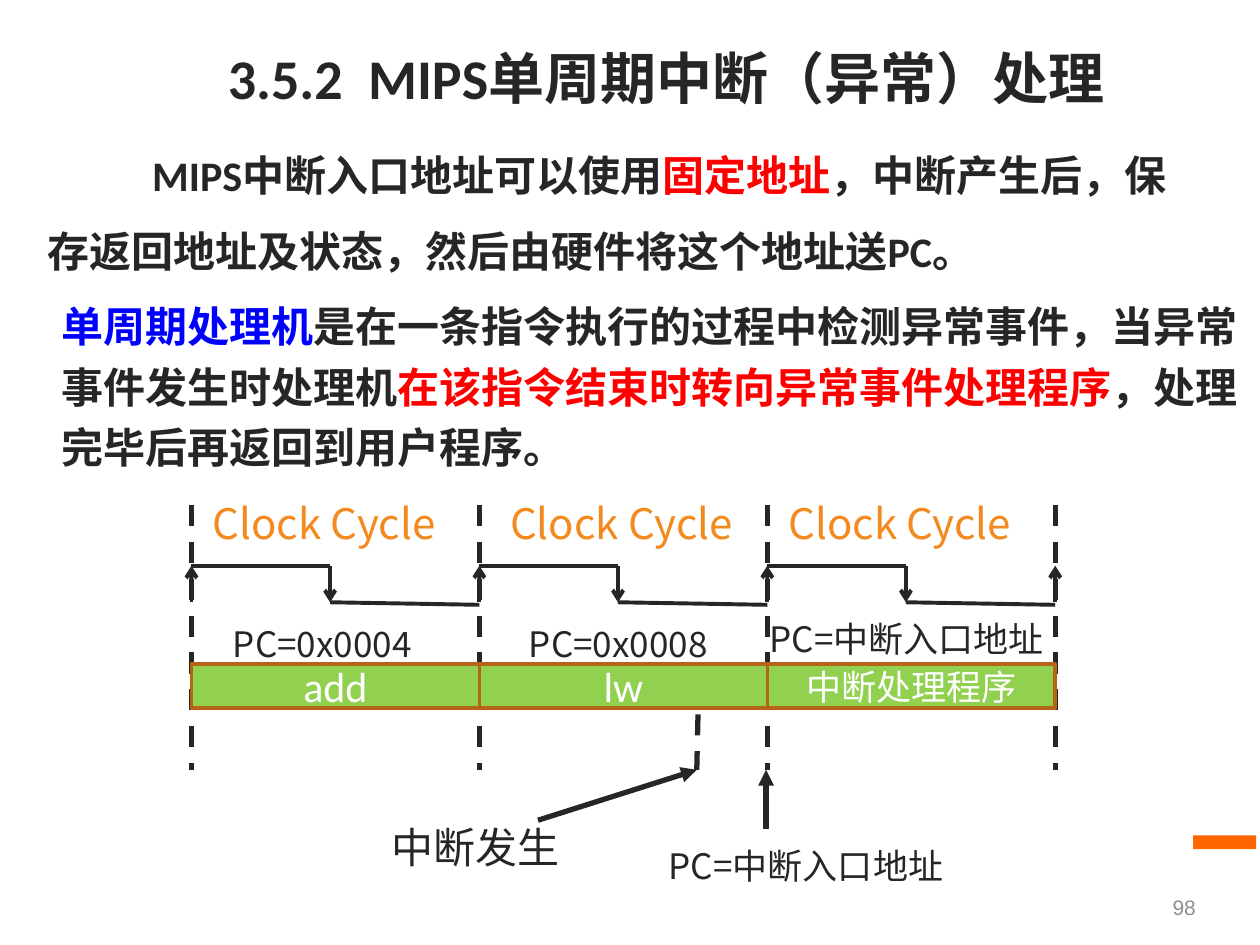
from dataclasses import dataclass
from lxml.etree import SubElement
from pptx import Presentation
from pptx.dml.color import RGBColor as RGB
from pptx.enum.dml import MSO_LINE as Dash
from pptx.enum.shapes import MSO_CONNECTOR as Conn, MSO_SHAPE as Kind
from pptx.enum.text import MSO_ANCHOR as Anchor, PP_ALIGN as Align
from pptx.oxml.ns import qn
from pptx.util import Inches, Pt

HUES = {"ink": "262626", "red": "FF0000", "blue": "0000FF", "clock": "F4891E",
        "bar": "FF6600", "cell": "92D050", "edge": "B56516",
        "white": "FFFFFF", "grey": "8E8E8E"}
CJK = "Noto Sans CJK SC"


@dataclass
class Box:
    left: float
    top: float
    width: float
    height: float

    def place(self) -> list:
        return [Inches(v) for v in (self.left, self.top, self.width, self.height)]


@dataclass
class Style:
    size: int = 20
    font: str = CJK
    bold: bool = False
    hue: str = "ink"
    align: Align = Align.LEFT
    anchor: Anchor = Anchor.TOP
    space: float = 1.0
    indent: float = 0


@dataclass
class Line:
    x1: float
    y1: float
    x2: float
    y2: float
    width: float = 2.25
    dash: bool = False
    tip: str = ""


def color(name: str) -> RGB:
    return RGB.from_string(HUES[name])


def write(shape, parts: list, style: Style) -> None:
    """Fill a shape with one paragraph of (text, hue) parts."""
    frame = shape.text_frame
    para = frame.paragraphs[0]
    formats = {frame: {"word_wrap": True, "vertical_anchor": style.anchor},
               para: {"alignment": style.align, "line_spacing": style.space}}
    for target, values in formats.items():
        for key, value in values.items():
            setattr(target, key, value)
    if style.indent:
        para._p.get_or_add_pPr().set("indent", str(Inches(style.indent)))
    for text, hue in parts:
        run = para.add_run()
        run.text = text
        for key, value in {"size": Pt(style.size), "name": style.font,
                           "bold": style.bold}.items():
            setattr(run.font, key, value)
        run.font.color.rgb = color(hue)
        SubElement(run._r.rPr, qn("a:ea")).set("typeface", CJK)


def add_text(slide, box: Box, text, style: Style) -> None:
    parts = [(text, style.hue)] if isinstance(text, str) else text
    write(slide.shapes.add_textbox(*box.place()), parts, style)


def add_rect(slide, box: Box, fill: str, edge: str = ""):
    rect = slide.shapes.add_shape(Kind.RECTANGLE, *box.place())
    rect.shadow.inherit = False
    rect.fill.solid()
    rect.fill.fore_color.rgb = color(fill)
    if edge:
        rect.line.color.rgb = color(edge)
        rect.line.width = Pt(2)
    else:
        rect.line.fill.background()
    return rect


def add_line(slide, line: Line) -> None:
    ends = [Inches(v) for v in (line.x1, line.y1, line.x2, line.y2)]
    shape = slide.shapes.add_connector(Conn.STRAIGHT, *ends)
    shape.line.color.rgb = color("ink")
    shape.line.width = Pt(line.width)
    if line.dash:
        shape.line.dash_style = Dash.DASH
    if line.tip:
        SubElement(shape.line._get_or_add_ln(), qn("a:tailEnd")).set("type", line.tip)
    SubElement(shape._element.spPr, qn("a:effectLst"))


deck = Presentation()
deck.slide_width, deck.slide_height = Inches(10), Inches(7.5)
slide = deck.slides.add_slide(deck.slide_layouts[6])

# Title, prose and page number
add_rect(slide, Box(9.47, 6.63, 0.5, 0.11), "bar")
add_text(slide, Box(1.71, 0.3, 7.4, 0.64), "3.5.2  MIPS单周期中断（异常）处理",
         Style(32, "Calibri", True))
add_text(slide, Box(0.28, 0.94, 9.13, 1.31), [
    ("MIPS中断入口地址可以使用", "ink"),
    ("固定地址", "red"),
    ("，中断产生后，保存返回地址及状态，然后由硬件将这个地址送PC。", "ink"),
], Style(24, "Calibri", True, space=1.5, indent=0.83))
add_text(slide, Box(0.39, 2.26, 9.53, 1.56), [
    ("单周期处理机", "blue"),
    ("是在一条指令执行的过程中检测异常事件，当异常事件发生时处理机", "ink"),
    ("在该指令结束时转向异常事件处理程序", "red"),
    ("，处理完毕后再返回到用户程序。", "ink"),
], Style(24, "Arial", True, align=Align.JUSTIFY, space=1.2))
add_text(slide, Box(6.42, 6.95, 3.17, 0.4), "98",
         Style(12, "Arial", hue="grey", align=Align.RIGHT, anchor=Anchor.BOTTOM))

# Clock edges, each with a rising arrow
START, STEP, HIGH, LOW = 1.52, 2.285, 4.49, 4.78
edges = [START + STEP * i for i in range(4)]
for x in edges:
    add_line(slide, Line(x, 4.01, x, 6.11, 3, dash=True))
    add_line(slide, Line(x, LOW, x, HIGH, tip="arrow"))

# One wave and one step of work per cycle
clock = Style(24, hue="clock")
ENTRY = "PC=中断入口地址"
cycles = [
    (1.59, Box(1.75, 4.89, 1.83, 0.44), "PC=0x0004", "add", 24, "Calibri"),
    (3.95, Box(4.1, 4.89, 1.83, 0.44), "PC=0x0008", "lw", 24, "Calibri"),
    (6.16, Box(6.01, 4.85, 2.46, 0.44), ENTRY, "中断处理程序", 20, CJK),
]
for x, (left, box, label, task, size, font) in zip(edges, cycles):
    fall = x + 1.1
    add_line(slide, Line(x, HIGH, fall, HIGH))
    add_line(slide, Line(fall, HIGH, fall, LOW, tip="arrow"))
    add_line(slide, Line(fall, LOW, x + STEP, 4.8))
    add_text(slide, Box(left, 3.9, 2.53, 0.5), "Clock Cycle", clock)
    cell = add_rect(slide, Box(x, 5.27, STEP, 0.35), "cell", "edge")
    write(cell, [(task, "white")],
          Style(size, font, align=Align.CENTER, anchor=Anchor.MIDDLE))
    add_text(slide, box, label, Style())

# Interrupt and its entry
add_line(slide, Line(5.54, 5.67, 5.53, 6.11, 3, dash=True))
add_line(slide, Line(4.27, 6.51, 5.53, 6.11, 3, tip="triangle"))
add_line(slide, Line(6.08, 6.58, 6.08, 6.11, 3, tip="triangle"))
add_text(slide, Box(3.01, 6.47, 1.57, 0.5), "中断发生", Style(24))
add_text(slide, Box(5.21, 6.65, 2.63, 0.44), ENTRY, Style())

deck.save("out.pptx")
